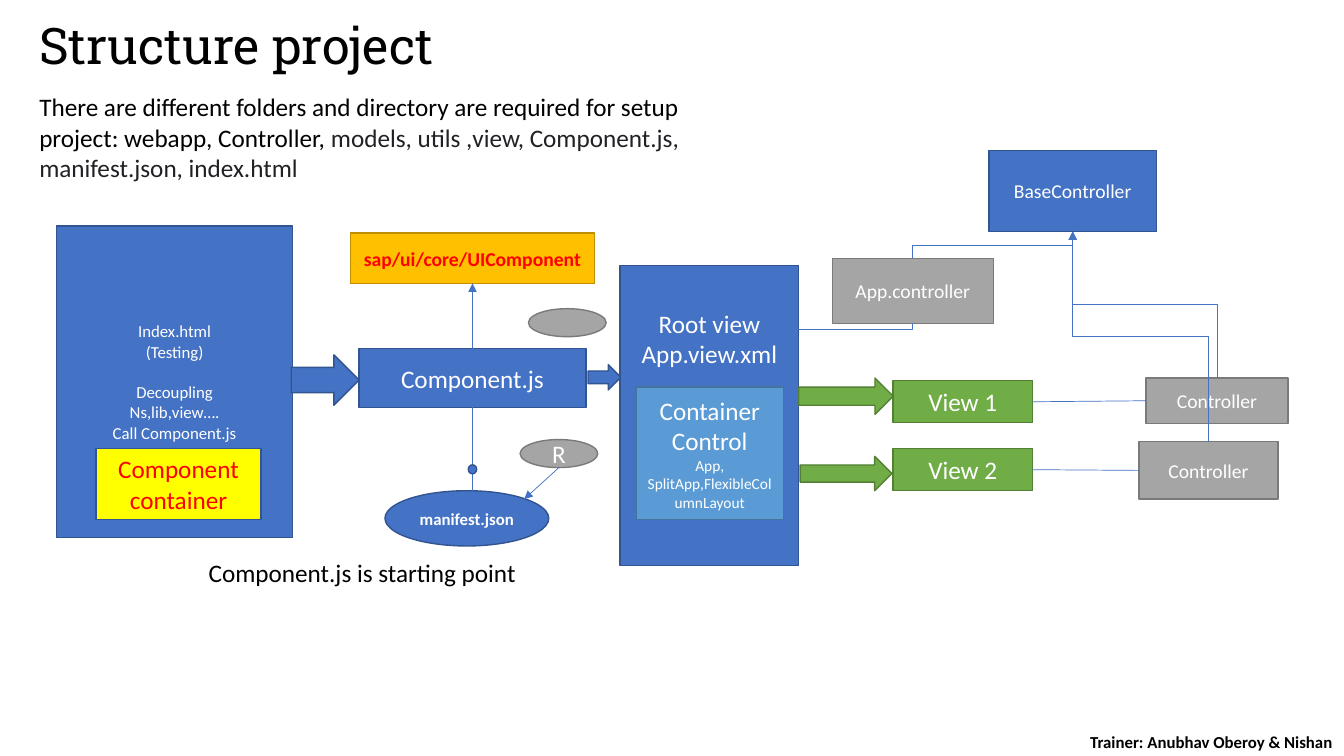
from lxml import etree
from pptx import Presentation
from pptx.dml.color import RGBColor
from pptx.enum.shapes import MSO_CONNECTOR, MSO_SHAPE
from pptx.enum.text import MSO_ANCHOR, PP_ALIGN
from pptx.oxml.ns import qn
from pptx.util import Pt

BLACK = RGBColor(0x00, 0x00, 0x00)
INK = RGBColor(0x20, 0x21, 0x24)
WHITE = RGBColor(0xFF, 0xFF, 0xFF)
RED = RGBColor(0xFF, 0x00, 0x00)
NAVY = RGBColor(0x32, 0x54, 0x91)
BLUE = RGBColor(0x44, 0x72, 0xC4)
BLUE_BOX = (BLUE, NAVY)
YELLOW_BOX = (RGBColor(0xFF, 0xFF, 0x00), NAVY)
GOLD_BOX = (RGBColor(0xFF, 0xC0, 0x00), RGBColor(0xBD, 0x8E, 0x00))
SKY_BOX = (RGBColor(0x5B, 0x9B, 0xD5), RGBColor(0x43, 0x73, 0x9E))
GREEN_BOX = (RGBColor(0x70, 0xAD, 0x47), RGBColor(0x53, 0x80, 0x35))
GREY_BOX = (RGBColor(0xA5, 0xA5, 0xA5), RGBColor(0x7A, 0x7A, 0x7A))

RECT, OVAL, ARROW = MSO_SHAPE.RECTANGLE, MSO_SHAPE.OVAL, MSO_SHAPE.RIGHT_ARROW


def add_run(p, text, size, color, bold=False, name="Calibri"):
    r = p.add_run()
    r.text = text
    for key, value in {"size": Pt(size), "bold": bold, "name": name}.items():
        setattr(r.font, key, value)
    r.font.color.rgb = color


def write(sp, lines, size, color, bold=False, name="Calibri",
          align=PP_ALIGN.CENTER, anchor=MSO_ANCHOR.MIDDLE):
    tf = sp.text_frame
    for key, value in {"word_wrap": True, "vertical_anchor": anchor}.items():
        setattr(tf, key, value)
    for i, line in enumerate(lines):
        p = tf.paragraphs[0] if i == 0 else tf.add_paragraph()
        p.alignment = align
        add_run(p, line, size, color, bold, name)
    return tf


def block(slide, kind, style, x, y, w, h, lines=(), size=18, color=WHITE, bold=False):
    sp = slide.shapes.add_shape(kind, Pt(x), Pt(y), Pt(w), Pt(h))
    sp.shadow.inherit = False
    sp.fill.solid()
    sp.fill.fore_color.rgb, sp.line.color.rgb = style
    sp.line.width = Pt(1)
    write(sp, lines, size, color, bold)
    return sp


def label(slide, x, y, w, h, text, size, **fmt):
    sp = slide.shapes.add_textbox(Pt(x), Pt(y), Pt(w), Pt(h))
    settings = {"color": BLACK, "align": PP_ALIGN.LEFT, "anchor": MSO_ANCHOR.TOP}
    return write(sp, [text], size, **{**settings, **fmt})


def finish_line(c, arrow):
    c.line.color.rgb = BLUE
    c.line.width = Pt(0.5)
    etree.SubElement(c._element.spPr, qn("a:effectLst"))
    if arrow:
        etree.SubElement(c.line._get_or_add_ln(), qn("a:tailEnd"), type="triangle")


def straight(slide, start, end, arrow=False, begin=None, finish=None):
    c = slide.shapes.add_connector(MSO_CONNECTOR.STRAIGHT, *map(Pt, start + end))
    if begin:
        c.begin_connect(*begin)
    if finish:
        c.end_connect(*finish)
    finish_line(c, arrow)


def elbow(slide, start, end, turn, flips=(), preset="bentConnector3", arrow=True):
    (x1, y1), (x2, y2) = start, end
    w, h = abs(y2 - y1), abs(x2 - x1)
    x, y = (x1 + x2 - w) / 2, (y1 + y2 - h) / 2
    c = slide.shapes.add_connector(MSO_CONNECTOR.ELBOW, Pt(x), Pt(y), Pt(x + w), Pt(y + h))
    xfrm = c._element.spPr.find(qn("a:xfrm"))
    xfrm.set("rot", str(turn * 60000))
    for flip in flips:
        xfrm.set(flip, "1")
    c._element.spPr.find(qn("a:prstGeom")).set("prst", preset)
    finish_line(c, arrow)


def header(slide, x, y, w):
    tf = label(slide, x, y, w, 42, "Structure project", 36, name="Roboto Slab")
    tf.paragraphs[0].line_spacing = 0.9
    tf = label(slide, x, y + 50.5, 523.5, 73,
               "There are different folders and directory are required for "
               "setup project: webapp, Controller, ", 18)
    add_run(tf.paragraphs[0],
            "models, utils ,view, Component.js, manifest.json, index.html", 18, INK)


def index_panel(slide, x, y, w, h):
    lines = ["Index.html", "(Testing)", "Decoupling", "Ns,lib,view….", "Call Component.js"]
    panel = block(slide, RECT, BLUE_BOX, x, y, w, h, lines, 12)
    panel.text_frame.paragraphs[2].space_before = Pt(14.6)
    block(slide, RECT, YELLOW_BOX, x + 28, y + 159, 118, 50.5,
          ["Component container"], color=RED)
    block(slide, ARROW, BLUE_BOX, x + w - 1, y + 92, 48.5, 36)


def component_column(slide, x, y, w, h):
    mid = x + w / 2
    comp = block(slide, RECT, BLUE_BOX, x, y, w, h, ["Component.js"])
    base = block(slide, RECT, GOLD_BOX, mid - 87.25, y - 82.5, 174.5, 36,
                 ["sap/ui/core/UIComponent"], 14, RED, True)
    straight(slide, (mid, y), (mid, y - 46.5), True, (comp, 0), (base, 2))
    block(slide, OVAL, BLUE_BOX, x + 18.5, y + 101.5, 117, 39.5,
          ["manifest.json"], 12, bold=True)
    straight(slide, (mid, y + h), (mid, y + 101.5), begin=(comp, 2))
    block(slide, OVAL, BLUE_BOX, mid - 3, y + 83, 6, 6.5)
    block(slide, ARROW, BLUE_BOX, x + w + 1.5, y + 11.5, 23.5, 18)
    block(slide, OVAL, GREY_BOX, x + 121, y - 28.5, 55.5, 20)
    block(slide, OVAL, GREY_BOX, x + 115, y + 65, 55.5, 20, ["R"])
    straight(slide, (x + 142.75, y + 85), (x + 118, y + 107.5), True)
    label(slide, x - 114.5, y + 145.5, 246, 29, "Component.js is starting point", 18)


def root_view(slide, x, y, w, h):
    panel = block(slide, RECT, BLUE_BOX, x, y, w, h, ["Root view", "App.view.xml"])
    panel.text_frame.margin_bottom = Pt(113.5)
    box = block(slide, RECT, SKY_BOX, x + 11.5, y + 87, 105, 94.5, ["Container Control"])
    p = box.text_frame.add_paragraph()
    p.alignment = PP_ALIGN.CENTER
    add_run(p, "App, SplitApp,FlexibleColumnLayout", 11, WHITE)


def view_rows(slide, x, y):
    rows = [("View 1", 0, (0, -2, 67.5, 26), (248, -2, 101.5, 32.5)),
            ("View 2", 48.5, (1, 54, 65.5, 24.5), (243, 43.5, 99.5, 41))]
    for name, dy, (ax, ay, aw, ah), (cx, cy, cw, ch) in rows:
        block(slide, ARROW, GREEN_BOX, x + ax, y + ay, aw, ah)
        view = block(slide, RECT, GREEN_BOX, x + 67.5, y + dy, 99.5, 30, [name])
        ctrl = block(slide, RECT, GREY_BOX, x + cx, y + cy, cw, ch, ["Controller"], 14)
        straight(slide, (x + 167, y + dy + 15), (x + cx, y + cy + ch / 2),
                 begin=(view, 3), finish=(ctrl, 1))


def controllers(slide, x, y, w, h):
    hub = (x + w / 2, y + h)
    block(slide, RECT, BLUE_BOX, x, y, w, h, ["BaseController"], 14)
    for start in [(x + 162.75, y + 162.5), (x + 156.75, y + 208)]:
        elbow(slide, start, hub, 270, ["flipV"])
    block(slide, RECT, GREY_BOX, x - 112, y + 77, 115, 46.5, ["App.controller"], 14)
    mid = x - 54.75
    elbow(slide, (mid, y + 77), hub, 90, ["flipH", "flipV"])
    elbow(slide, (mid, y + 123.5), (x - 140, y + 128), 90,
          preset="bentConnector2", arrow=False)


def main():
    prs = Presentation()
    prs.slide_width, prs.slide_height = Pt(960), Pt(540)
    s = prs.slides.add_slide(prs.slide_layouts[6])
    header(s, 21, 11.5, 667)
    index_panel(s, 40.5, 161.5, 168.5, 222.5)
    component_column(s, 256.5, 249, 162, 42)
    root_view(s, 443, 189.5, 127.5, 214.5)
    view_rows(s, 570.5, 272)
    controllers(s, 706.5, 107.5, 119.5, 58)
    label(s, 753, 519, 206, 22, "Trainer: Anubhav Oberoy & Nishan", 12,
          bold=True, align=PP_ALIGN.RIGHT, anchor=MSO_ANCHOR.MIDDLE)
    prs.save("out.pptx")


if __name__ == "__main__":
    main()
